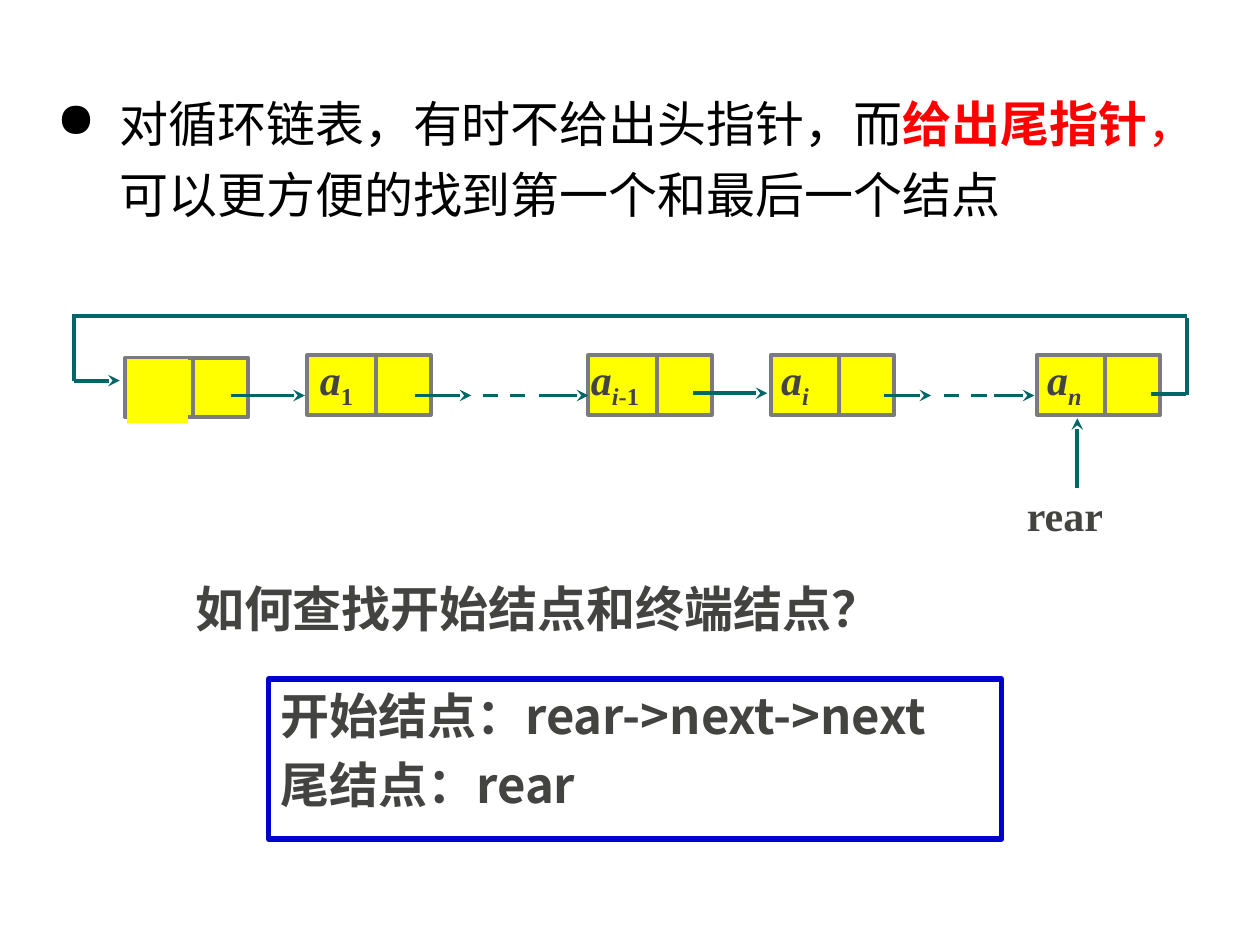
from dataclasses import dataclass

from lxml import etree
from pptx import Presentation
from pptx.dml.color import RGBColor
from pptx.enum.dml import MSO_LINE
from pptx.enum.shapes import MSO_CONNECTOR, MSO_SHAPE
from pptx.enum.text import MSO_ANCHOR, PP_ALIGN
from pptx.oxml.ns import qn
from pptx.util import Pt

STRAIGHT = MSO_CONNECTOR.STRAIGHT
RECT = MSO_SHAPE.RECTANGLE
DASH = MSO_LINE.DASH
TOP, MIDDLE = MSO_ANCHOR.TOP, MSO_ANCHOR.MIDDLE
LEFT = PP_ALIGN.LEFT

COLORS = {
    "black": "000000", "red": "FF0000", "text": "434342", "node": "FFFF00",
    "border": "797B7E", "arrow": "006666", "frame": "0000CC",
}
CJK, SERIF = "Noto Sans CJK SC", "Times New Roman"
NODE_W, NODE_H, DIVIDER = 70.5, 34, 39
NODE_TOP = 203
LINE_W = 2.25


@dataclass
class Run:
    text: str
    color: str = "text"
    bold: bool = True
    italic: bool = False
    sub: bool = False
    font: str = CJK
    size: float = 28


@dataclass
class Node:
    left: float
    top: float = NODE_TOP
    inset: float = 0
    base: str = ""
    index: str = ""
    offset: str = ""


@dataclass
class Link:
    x1: float
    y1: float
    x2: float
    y2: float
    arrow: bool = False
    dashed: bool = False


NODES = [
    Node(71.3, 204.5),
    Node(175.7, inset=7.2, base="a", offset="1"),
    Node(336.2, inset=1.5, base="a", index="i", offset="-1"),
    Node(440.6, inset=5.8, base="a", index="i"),
    Node(592.6, inset=5.8, base="a", index="n"),
]
LINKS = [
    Link(131.8, 226, 174.2, 226, arrow=True),
    Link(236.9, 226, 269.3, 226, arrow=True),
    Link(275.8, 226, 300.2, 226, dashed=True),
    Link(308.2, 226, 336.2, 226, arrow=True),
    Link(396, 224.7, 438.5, 224.7, arrow=True),
    Link(505.4, 226, 532.1, 226, arrow=True),
    Link(539.3, 226, 564.5, 226, dashed=True),
    Link(568.1, 226, 591.1, 226, arrow=True),
    # Way back from the last node to the head node
    Link(658, 225.2, 678, 225.2),
    Link(678.4, 181.5, 678.4, 226),
    Link(41, 180.6, 678.4, 180.6),
    Link(42.4, 179.4, 42.4, 218),
    Link(42.4, 217.5, 68.4, 217.5, arrow=True),
    # Rear pointer
    Link(615.6, 278.6, 615.6, 239, arrow=True),
]


def rgb(name: str) -> RGBColor:
    return RGBColor.from_string(COLORS[name])


def add_run(p, run: Run) -> None:
    r = p.add_run()
    r.text = run.text
    formats = {"size": Pt(run.size), "bold": run.bold,
               "italic": run.italic, "name": run.font}
    for key, value in formats.items():
        setattr(r.font, key, value)
    r.font.color.rgb = rgb(run.color)
    props = r._r.get_or_add_rPr()
    if run.sub:
        props.set("baseline", "-25000")
    etree.SubElement(props, qn("a:ea")).set("typeface", run.font)


def fill_text(s, paragraphs: list[list[Run]], spacing: float | Pt,
              insets: tuple = (7.2, 3.6, 7.2, 3.6), anchor=TOP,
              gap: float = 0) -> None:
    tf = s.text_frame
    tf.word_wrap = True
    tf.vertical_anchor = anchor
    for side, inset in zip(("left", "top", "right", "bottom"), insets):
        setattr(tf, f"margin_{side}", Pt(inset))
    for i, runs in enumerate(paragraphs):
        p = tf.add_paragraph() if i else tf.paragraphs[0]
        p.alignment = LEFT
        p.line_spacing = spacing
        if i:
            p.space_before = Pt(gap)
        for run in runs:
            add_run(p, run)


def add_textbox(slide, x: float, y: float, w: float, h: float):
    return slide.shapes.add_textbox(Pt(x), Pt(y), Pt(w), Pt(h))


def add_rect(slide, x: float, y: float, w: float, h: float,
             fill: str = "", line: str = "", width: float = LINE_W):
    s = slide.shapes.add_shape(RECT, Pt(x), Pt(y), Pt(w), Pt(h))
    s.shadow.inherit = False
    if fill:
        s.fill.solid()
        s.fill.fore_color.rgb = rgb(fill)
    else:
        s.fill.background()
    if line:
        s.line.color.rgb = rgb(line)
        s.line.width = Pt(width)
    else:
        s.line.fill.background()
    return s


def add_link(slide, link: Link, color: str = "arrow") -> None:
    c = slide.shapes.add_connector(STRAIGHT, Pt(link.x1), Pt(link.y1),
                                   Pt(link.x2), Pt(link.y2))
    c.line.color.rgb = rgb(color)
    c.line.width = Pt(LINE_W)
    if link.dashed:
        c.line.dash_style = DASH
    if link.arrow:
        ln = c.line._get_or_add_ln()
        etree.SubElement(ln, qn("a:tailEnd")).set("type", "stealth")
    etree.SubElement(c._element.spPr, qn("a:effectLst"))


def add_node(slide, node: Node) -> None:
    """Draw a list node: data cell with its label, divider, pointer cell."""
    s = add_rect(slide, node.left, node.top, NODE_W, NODE_H, "node", "border")
    if node.base:
        runs = [Run(node.base, italic=True, font=SERIF, size=24)]
        runs += [Run(text, italic=italic, sub=True, font=SERIF, size=24)
                 for text, italic in ((node.index, True), (node.offset, False))
                 if text]
        fill_text(s, [runs], 0.9, (node.inset, 0, 0, 5.8), MIDDLE)
    x = node.left + DIVIDER
    add_link(slide, Link(x, node.top, x, node.top + NODE_H), "border")


def add_statement(slide) -> None:
    s = add_textbox(slide, 25.2, 43.2, 658, 129.6)
    p = s.text_frame.paragraphs[0]
    props = p._p.get_or_add_pPr()
    props.set("marL", str(Pt(36)))
    props.set("indent", str(-Pt(36)))
    etree.SubElement(props, qn("a:buChar")).set("char", "●")
    fill_text(s, [[
        Run("对循环链表，有时不给出头指针，而", "black", bold=False),
        Run("给出尾指针", "red"),
        Run("，", "red", bold=False),
        Run("可以更方便的找到第一个和最后一个结点", "black", bold=False),
    ]], Pt(40.4))


def main() -> None:
    prs = Presentation()
    prs.slide_width, prs.slide_height = Pt(720), Pt(540)
    slide = prs.slides.add_slide(prs.slide_layouts[6])

    add_statement(slide)
    for node in NODES:
        add_node(slide, node)
    add_rect(slide, 72.7, 205.2, 34.6, 36.7, "node")
    for link in LINKS:
        add_link(slide, link)
    rear = add_textbox(slide, 586.8, 277.2, 59.8, 36.7)
    fill_text(rear, [[Run("rear", font=SERIF, size=24)]], 1.0,
              (0, 0, 0, 2.9), MIDDLE)

    question = add_textbox(slide, 104.4, 326.9, 457.2, 41)
    fill_text(question, [[Run("如何查找开始结点和终端结点？")]], Pt(33.7))
    answer = add_rect(slide, 153.4, 388.1, 419, 91.4, line="frame", width=3)
    fill_text(answer, [[Run("开始结点：rear->next->next")],
                       [Run("尾结点：rear")]], Pt(33.7), gap=5.6)
    prs.save("out.pptx")


if __name__ == "__main__":
    main()
